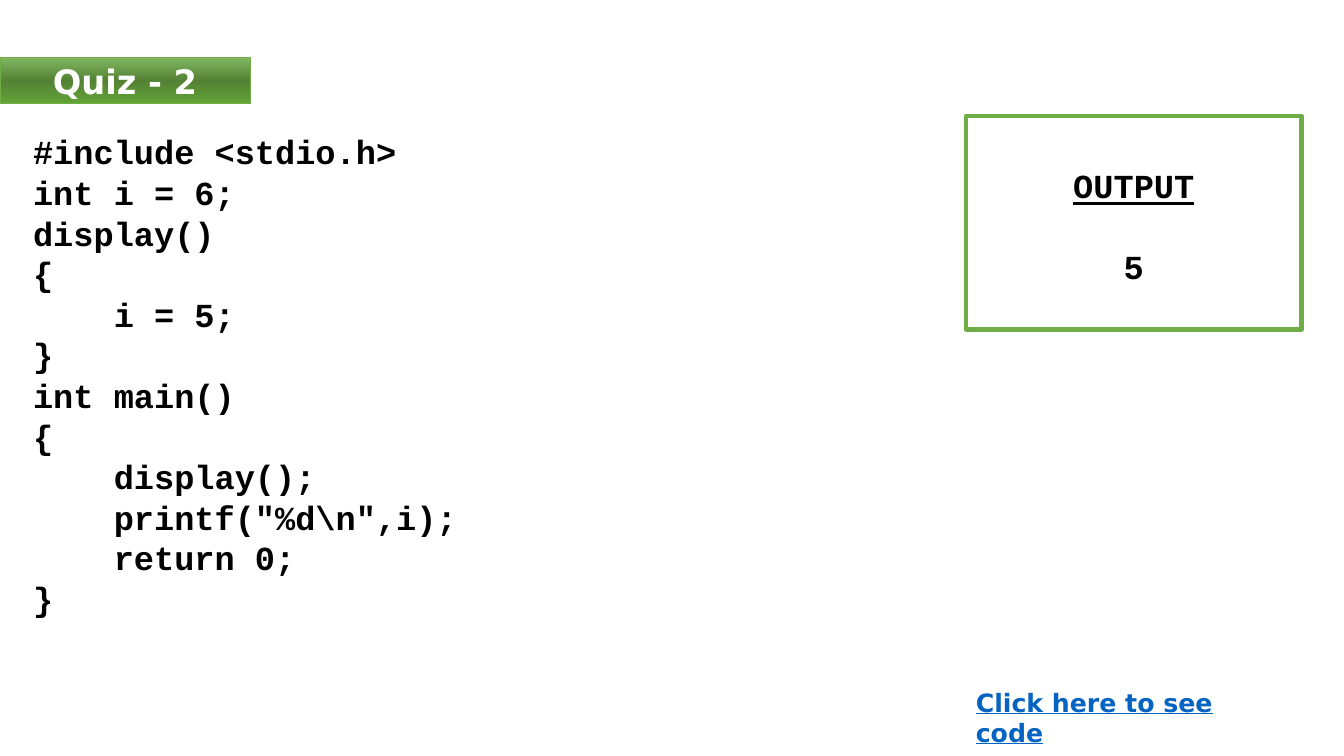
from copy import deepcopy
from pptx import Presentation
from pptx.dml.color import RGBColor
from pptx.enum.shapes import MSO_SHAPE
from pptx.enum.text import MSO_ANCHOR, PP_ALIGN
from pptx.util import Inches, Pt

CODE = r"""#include <stdio.h>
int i = 6;
display()
{
    i = 5;
}
int main()
{
    display();
    printf("%d\n",i);
    return 0;
}"""


def rgb(value):
    return RGBColor.from_string(value)


def add_text(sp, text, font, size, color, align, spacing=None):
    tf = sp.text_frame
    tf.word_wrap = True
    tf.text = text
    for p in tf.paragraphs:
        p.alignment = align
        p.line_spacing = spacing
        for r in p.runs:
            r.font.name = font
            r.font.size = Pt(size)
            r.font.bold = True
            r.font.color.rgb = rgb(color)
    return tf


prs = Presentation()
prs.slide_width = Inches(13.33)
prs.slide_height = Inches(7.5)
s = prs.slides.add_slide(prs.slide_layouts[6])

code = s.shapes.add_textbox(Inches(0.23), Inches(1.25), Inches(6.84), Inches(4.92))
add_text(code, CODE, "Courier New", 24, "000000", PP_ALIGN.LEFT, Pt(29))

title = s.shapes.add_shape(MSO_SHAPE.RECTANGLE, 0, Inches(0.57), Inches(2.48), Inches(0.46))
title.shadow.inherit = False
title.fill.gradient()
title.fill.gradient_angle = 270
first = title.fill.gradient_stops[0]._gs
first.addnext(deepcopy(first))
stops = [(0, "81B861"), (0.5, "548235"), (1, "62A336")]
for stop, (position, color) in zip(title.fill.gradient_stops, stops):
    stop.position = position
    stop.color.rgb = rgb(color)
title.line.color.rgb = rgb("70AD47")
title.line.width = Pt(0.5)
tf = add_text(title, "Quiz - 2", "DejaVu Sans", 24, "FFFFFF", PP_ALIGN.CENTER)
tf.vertical_anchor = MSO_ANCHOR.MIDDLE

link = s.shapes.add_textbox(Inches(9.58), Inches(6.77), Inches(3.3), Inches(0.4))
tf = add_text(link, "Click here to see code", "DejaVu Sans", 18, "0563C1", PP_ALIGN.LEFT)
tf.paragraphs[0].runs[0].font.underline = True

output = s.shapes.add_shape(MSO_SHAPE.RECTANGLE, Inches(9.58), Inches(1.15), Inches(3.33), Inches(2.12))
output.shadow.inherit = False
output.fill.solid()
output.fill.fore_color.rgb = rgb("FFFFFF")
output.line.color.rgb = rgb("70AD47")
output.line.width = Pt(3)
tf = add_text(output, "OUTPUT\n5", "Courier New", 24, "000000", PP_ALIGN.CENTER, Pt(29))
tf.vertical_anchor = MSO_ANCHOR.TOP
tf.margin_top = Inches(0.48)
tf.paragraphs[0].runs[0].font.underline = True
tf.paragraphs[1].space_before = Pt(29)

prs.save("out.pptx")
